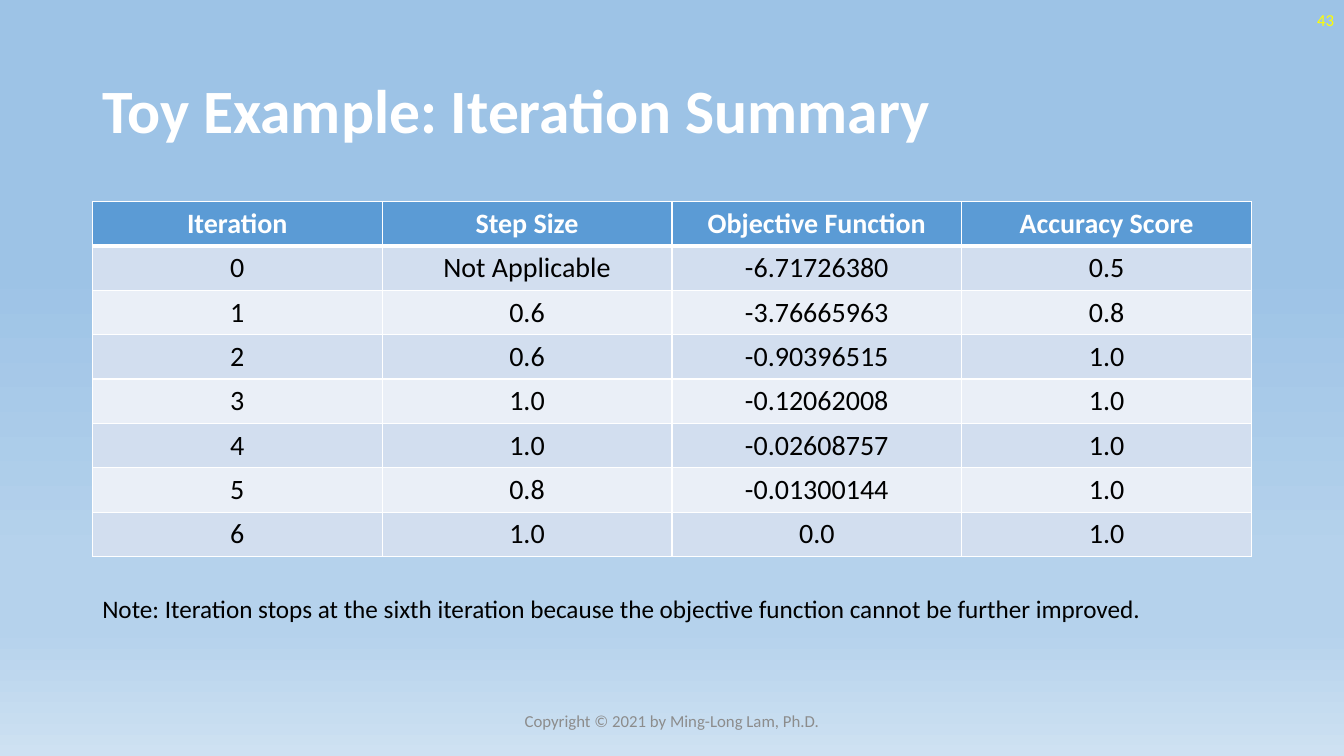
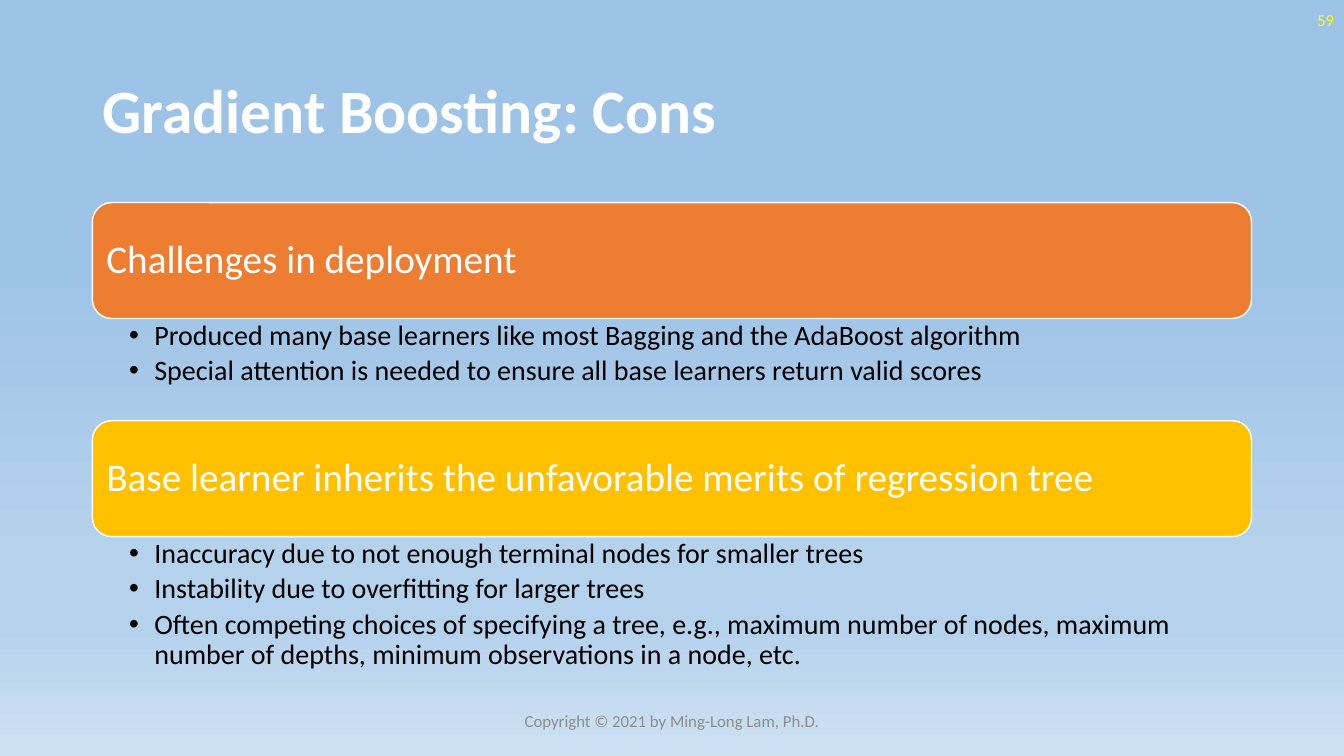
"""Build two lecture slides: an iteration summary table and a list of drawbacks."""
from lxml import etree
from pptx import Presentation
from pptx.dml.color import RGBColor
from pptx.enum.shapes import MSO_SHAPE
from pptx.enum.text import MSO_ANCHOR, PP_ALIGN
from pptx.oxml.ns import qn
from pptx.util import Pt

ROUNDED = MSO_SHAPE.ROUNDED_RECTANGLE
TOP, MIDDLE = MSO_ANCHOR.TOP, MSO_ANCHOR.MIDDLE
LEFT, CENTER, RIGHT = PP_ALIGN.LEFT, PP_ALIGN.CENTER, PP_ALIGN.RIGHT

WHITE = RGBColor(0xFF, 0xFF, 0xFF)
BLACK = RGBColor(0x00, 0x00, 0x00)
YELLOW = RGBColor(0xFF, 0xFF, 0x00)
GRAY = RGBColor(0x8C, 0x8C, 0x8C)
BLUE = RGBColor(0x5B, 0x9B, 0xD5)
BAND_DARK = RGBColor(0xD2, 0xDE, 0xEF)
BAND_LIGHT = RGBColor(0xEA, 0xEF, 0xF7)
ORANGE = RGBColor(0xED, 0x7D, 0x31)
GOLD = RGBColor(0xFF, 0xC0, 0x00)
SKY = RGBColor(0x9D, 0xC3, 0xE6)
MIST = RGBColor(0xB5, 0xD2, 0xEC)
HAZE = RGBColor(0xCE, 0xE1, 0xF2)
BACKGROUND_STOPS = [(35, SKY), (74, MIST), (83, MIST), (100, HAZE)]

FONT = "Calibri"
SLIDE_WIDTH, SLIDE_HEIGHT = 960, 540
MARGIN, CONTENT_WIDTH = 66, 828
ROW_HEIGHT = 31.7
BAND_HEIGHT = 82.8
BULLET_INDENT = 18

FOOTER = "Copyright © 2021 by Ming-Long Lam, Ph.D."

SUMMARY_TITLE = "Toy Example: Iteration Summary"
SUMMARY_ROWS = [
    ("Iteration", "Step Size", "Objective Function", "Accuracy Score"),
    ("0", "Not Applicable", "-6.71726380", "0.5"),
    ("1", "0.6", "-3.76665963", "0.8"),
    ("2", "0.6", "-0.90396515", "1.0"),
    ("3", "1.0", "-0.12062008", "1.0"),
    ("4", "1.0", "-0.02608757", "1.0"),
    ("5", "0.8", "-0.01300144", "1.0"),
    ("6", "1.0", "0.0", "1.0"),
]
SUMMARY_NOTE = ("Note: Iteration stops at the sixth iteration because the "
                "objective function cannot be further improved.")

CONS_TITLE = "Gradient Boosting: Cons"
CONS = [
    ("Challenges in deployment", ORANGE, 73, [
        "Produced many base learners like most Bagging and the AdaBoost algorithm",
        "Special attention is needed to ensure all base learners return valid scores",
    ]),
    ("Base learner inherits the unfavorable merits of regression tree", GOLD, 103, [
        "Inaccuracy due to not enough terminal nodes for smaller trees",
        "Instability due to overfitting for larger trees",
        "Often competing choices of specifying a tree, e.g., maximum number of nodes, "
        "maximum number of depths, minimum observations in a node, etc.",
    ]),
]


def add_color(parent, color):
    etree.SubElement(parent, qn("a:srgbClr"), val=str(color))


def paint_background(master):
    fill = master.background.fill
    fill.gradient()
    fill.gradient_angle = 270
    stops = next(master.element.iter(qn("a:gsLst")))
    for stop in list(stops):
        stops.remove(stop)
    for percent, color in BACKGROUND_STOPS:
        add_color(etree.SubElement(stops, qn("a:gs"), pos=str(percent * 1000)), color)


def write(para, text, size, color, bold=False, align=LEFT, spacing=1.0):
    para.alignment = align
    para.line_spacing = spacing
    span = para.add_run()
    span.text = text
    font = span.font
    font.name, font.size, font.bold = FONT, Pt(size), bold
    font.color.rgb = color


def add_box(slide, left, top, width, height, anchor=MIDDLE):
    box = slide.shapes.add_textbox(Pt(left), Pt(top), Pt(width), Pt(height))
    box.text_frame.word_wrap = True
    box.text_frame.vertical_anchor = anchor
    return box.text_frame


def add_page(deck, title, number):
    slide = deck.slides.add_slide(deck.slide_layouts[6])
    heading = add_box(slide, MARGIN, 28.75, CONTENT_WIDTH, 104.4)
    write(heading.paragraphs[0], title, 44, WHITE, True, spacing=0.9)
    corner = add_box(slide, SLIDE_WIDTH - 216, 0, 216, 28.75)
    write(corner.paragraphs[0], number, 12, YELLOW, align=RIGHT)
    footer = add_box(slide, (SLIDE_WIDTH - 324) / 2, 500.5, 324, 28.75)
    write(footer.paragraphs[0], FOOTER, 12, GRAY, align=CENTER)
    return slide


def set_borders(cell, top, bottom):
    properties = cell._tc.get_or_add_tcPr()
    sides = [("a:lnL", 1), ("a:lnR", 1), ("a:lnT", top), ("a:lnB", bottom)]
    for position, (side, width) in enumerate(sides):
        line = etree.Element(qn(side), w=str(Pt(width)))
        add_color(etree.SubElement(line, qn("a:solidFill")), WHITE)
        properties.insert(position, line)


def add_summary_table(slide):
    row_count, column_count = len(SUMMARY_ROWS), len(SUMMARY_ROWS[0])
    table = slide.shapes.add_table(
        row_count, column_count, Pt(MARGIN), Pt(144),
        Pt(CONTENT_WIDTH), Pt(ROW_HEIGHT * row_count)).table
    table.horz_banding = False
    for column in table.columns:
        column.width = Pt(CONTENT_WIDTH / column_count)
    for index, values in enumerate(SUMMARY_ROWS):
        table.rows[index].height = Pt(ROW_HEIGHT)
        header = index == 0
        band = BLUE if header else BAND_DARK if index % 2 else BAND_LIGHT
        for cell, value in zip(table.rows[index].cells, values):
            cell.vertical_anchor = MIDDLE
            cell.fill.solid()
            cell.fill.fore_color.rgb = band
            set_borders(cell, 3 if index == 1 else 1, 3 if header else 1)
            write(cell.text_frame.paragraphs[0], value, 20,
                  WHITE if header else BLACK, header, CENTER)


def add_band(slide, top, text, color):
    band = slide.shapes.add_shape(
        ROUNDED, Pt(MARGIN), Pt(top), Pt(CONTENT_WIDTH), Pt(BAND_HEIGHT))
    band.shadow.inherit = False
    band.fill.solid()
    band.fill.fore_color.rgb = color
    band.line.color.rgb = WHITE
    band.line.width = Pt(1)
    frame = band.text_frame
    frame.word_wrap = True
    frame.vertical_anchor = MIDDLE
    frame.margin_left = frame.margin_right = Pt(6)
    write(frame.paragraphs[0], text, 28, WHITE, spacing=0.9)


def add_bullets(slide, top, height, items):
    frame = add_box(slide, MARGIN, top, CONTENT_WIDTH, height, TOP)
    frame.margin_left, frame.margin_right = Pt(26.3), Pt(11.5)
    frame.margin_top = frame.margin_bottom = Pt(2)
    for index, item in enumerate(items):
        para = frame.add_paragraph() if index else frame.paragraphs[0]
        properties = para._p.get_or_add_pPr()
        properties.set("marL", str(Pt(BULLET_INDENT)))
        properties.set("indent", str(-Pt(BULLET_INDENT)))
        etree.SubElement(properties, qn("a:buFont"), typeface="Arial")
        etree.SubElement(properties, qn("a:buChar"), char="•")
        write(para, item, 20, BLACK, spacing=0.9)
        para.space_after = Pt(3.6)


def main():
    deck = Presentation()
    deck.slide_width, deck.slide_height = Pt(SLIDE_WIDTH), Pt(SLIDE_HEIGHT)
    paint_background(deck.slide_master)

    summary = add_page(deck, SUMMARY_TITLE, "43")
    add_summary_table(summary)
    note = add_box(summary, MARGIN, 420.5, CONTENT_WIDTH, 29, TOP)
    write(note.paragraphs[0], SUMMARY_NOTE, 18, BLACK)

    cons = add_page(deck, CONS_TITLE, "59")
    top = 144.7
    for heading, color, height, items in CONS:
        add_band(cons, top, heading, color)
        add_bullets(cons, top + BAND_HEIGHT, height, items)
        top += BAND_HEIGHT + height

    deck.save("out.pptx")


if __name__ == "__main__":
    main()
